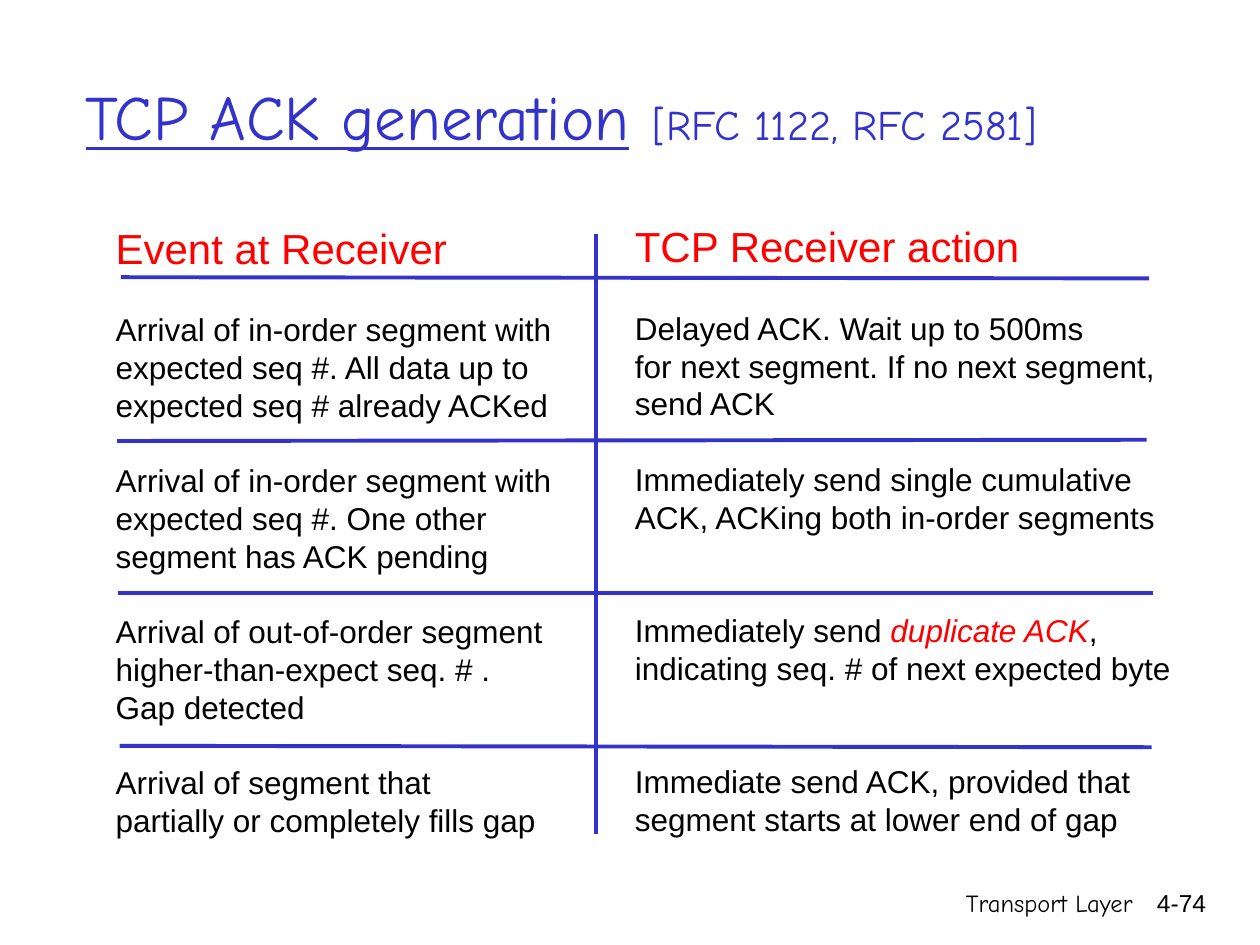
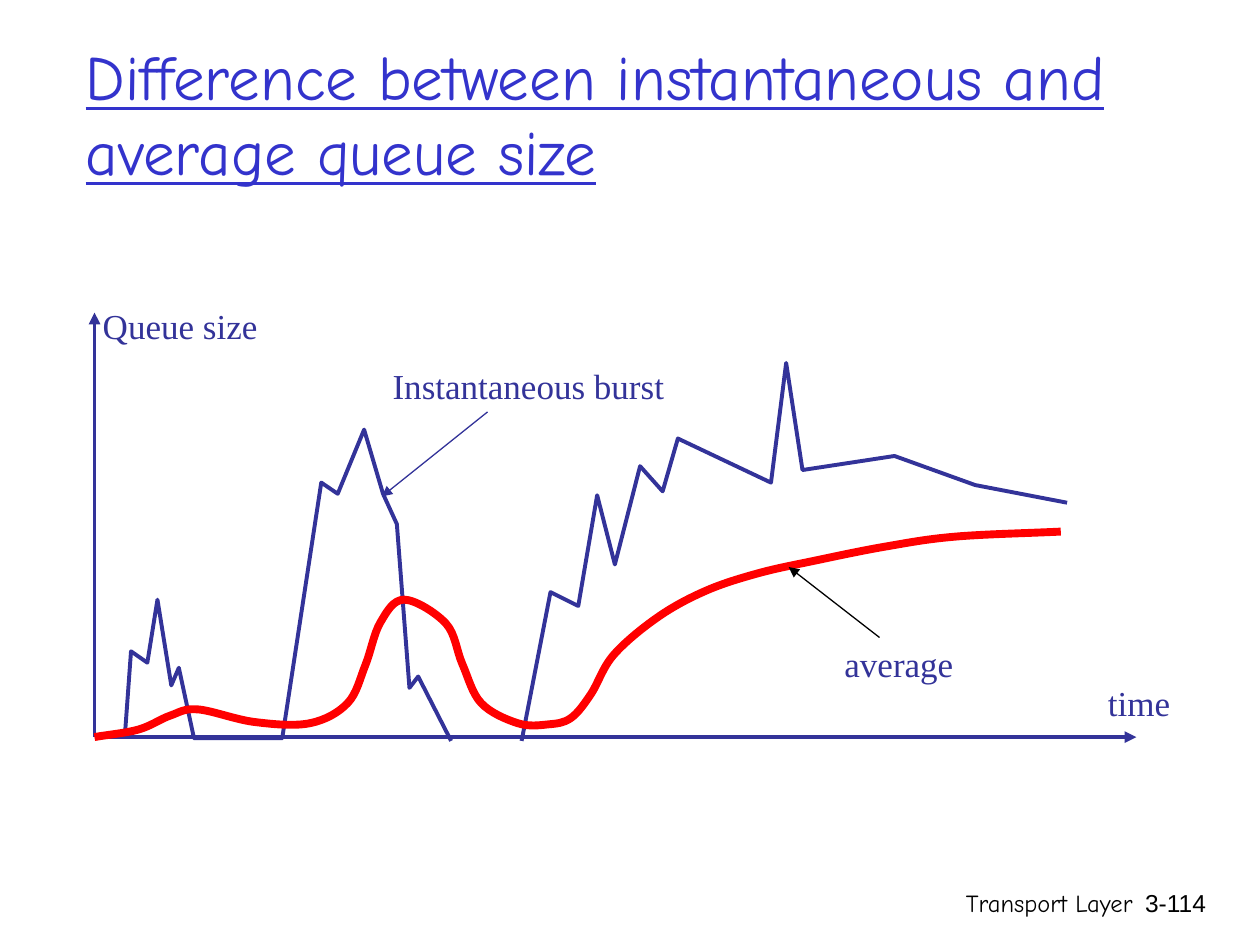
from lxml import etree
from pptx import Presentation
from pptx.dml.color import RGBColor
from pptx.enum import shapes, text
from pptx.oxml.ns import qn
from pptx.util import Pt

# Content
FOOTER = "Transport Layer"
ACK_TITLE = [("TCP ACK generation", 36, True), (" ", 40, False),
             ("[RFC 1122, RFC 2581]", 24, False)]
QUEUE_TITLE = [("Difference between instantaneous and average queue size", 36, True)]
DUPLICATE = "duplicate ACK"

EVENTS = ("Event at Receiver", [
    ["Arrival of in-order segment with", "expected seq #. All data up to",
     "expected seq # already ACKed"],
    ["Arrival of in-order segment with", "expected seq #. One other",
     "segment has ACK pending"],
    ["Arrival of out-of-order segment", "higher-than-expect seq. # .",
     "Gap detected"],
    ["Arrival of segment that", "partially or completely fills gap"],
])
ACTIONS = ("TCP Receiver action", [
    ["Delayed ACK. Wait up to 500ms", "for next segment. If no next segment,",
     "send ACK"],
    ["Immediately send single cumulative", "ACK, ACKing both in-order segments"],
    ["Immediately send duplicate ACK,", "indicating seq. # of next expected byte"],
    ["Immediate send ACK, provided that", "segment starts at lower end of gap"],
])
# Rules of the grid: start, end
RULES = [((69.1, 158.4), (656.6, 159.1)), ((67, 252), (655.2, 251.3)),
         ((67.7, 339.1), (658.8, 339.1)), ((68.4, 426.2), (658.1, 427)),
         ((340.6, 133.9), (340.6, 476.6))]

# Queue plot: label, left, top, width
LABELS = [("Queue size", 51.1, 170.6, 103.7), ("time", 625.7, 385.9, 50.4),
          ("Instantaneous burst", 216.7, 204.5, 170.6),
          ("average", 475.2, 363.6, 77)]
ORIGIN, X_END, Y_END = (54, 421.2), (649.4, 421.2), (54, 178.6)
BURSTS = [
    [(71.3, 421.2), (74.9, 372.2), (84.2, 378.7), (90, 342.7), (97.9, 391.7),
     (102.2, 381.6), (110.9, 421.9), (161.3, 421.9), (183.6, 275.8),
     (193, 282.2), (208.1, 245.5), (218.9, 282.2), (226.8, 299.5),
     (234, 393.1), (239, 386.6), (257.8, 423.4)],
    [(298.1, 423.4), (314.6, 338.4), (330.5, 346.3), (341.3, 283),
     (351.4, 322.6), (365.8, 266.4), (378.7, 280.8), (387.4, 250.6),
     (440.6, 275.8), (449.3, 207.4), (458.6, 268.6), (511.2, 260.6),
     (557.3, 277.2), (609.8, 287.3)],
]
AVERAGE = [
    (54, 421.2), (79.2, 416.9), (97.2, 409), (113, 405.4), (145.4, 412.6),
    (177.1, 413.3), (198.7, 401.8), (208.8, 380.2), (217.4, 355.7),
    (231.1, 342.7), (254.9, 356.4), (264.2, 379.4), (275, 401.8),
    (295.9, 413.3), (313.2, 414), (326.2, 410.4), (337.7, 396.7),
    (350.6, 374.4), (375.8, 352.8), (403.2, 337.7), (433.4, 327.6),
    (465.8, 320.4), (505.4, 312.5), (545.8, 306.7), (606.2, 303.8)]

# Shared style
BLUE, NAVY = RGBColor(0x33, 0x33, 0xCC), RGBColor(0x33, 0x33, 0x99)
RED, BLACK = RGBColor(0xFF, 0, 0), RGBColor(0, 0, 0)
HAND, SANS, SERIF = "Comic Neue", "Arial", "Times New Roman"
ALIGN = text.PP_ALIGN
BODY_PITCH, ROW_LINES = 21.57, 4


def add_run(p, words, size, font, color, underline=False, italic=False):
    r = p.add_run()
    r.text = words
    f = r.font
    f.size, f.name, f.color.rgb = Pt(size), font, color
    f.underline, f.italic = underline, italic


def add_box(slide, left, top, width, height, wrap=True):
    tf = slide.shapes.add_textbox(Pt(left), Pt(top), Pt(width), Pt(height)).text_frame
    tf.word_wrap = wrap
    return tf


def add_label(slide, words, left, top, width, height, size, font, color, align, wrap=True):
    p = add_box(slide, left, top, width, height, wrap).paragraphs[0]
    p.alignment = align
    add_run(p, words, size, font, color)


def add_line(slide, start, end, color, weight, arrow=False):
    c = slide.shapes.add_connector(shapes.MSO_CONNECTOR.STRAIGHT,
                                   *[Pt(v) for v in (*start, *end)])
    c.line.color.rgb, c.line.width = color, Pt(weight)
    if arrow:
        etree.SubElement(c.line._get_or_add_ln(), qn("a:tailEnd"), type="triangle")
    etree.SubElement(c._element.spPr, qn("a:effectLst"))


def add_path(slide, points, color, weight):
    start, *rest = [(Pt(x), Pt(y)) for x, y in points]
    builder = slide.shapes.build_freeform(*start)
    builder.add_line_segments(rest, close=False)
    sp = builder.convert_to_shape()
    sp.shadow.inherit = False
    sp.fill.background()
    sp.line.color.rgb, sp.line.width = color, Pt(weight)
    return sp


def smooth_path(sp):
    """Turn the straight segments into a curve through the same knots."""
    knots = [(int(e.get("x")), int(e.get("y"))) for e in sp._element.iter(qn("a:pt"))]

    def mirror(a, b):
        return 2 * a[0] - b[0], 2 * a[1] - b[1]

    k = [mirror(knots[0], knots[1]), *knots, mirror(knots[-1], knots[-2])]
    for i, seg in enumerate(list(sp._element.iter(qn("a:lnTo"))), 1):
        before, a, b, after = k[i - 1:i + 3]
        controls = ([a[j] + (b[j] - before[j]) / 6 for j in (0, 1)],
                    [b[j] - (after[j] - a[j]) / 6 for j in (0, 1)], b)
        curve = etree.Element(qn("a:cubicBezTo"))
        for x, y in controls:
            etree.SubElement(curve, qn("a:pt"), x=str(round(x)), y=str(round(y)))
        seg.getparent().replace(seg, curve)


def new_slide(prs, title, number):
    slide = prs.slides.add_slide(prs.slide_layouts[6])
    tf = add_box(slide, 41.8, 19.5, 612, 90)
    tf.vertical_anchor = text.MSO_ANCHOR.MIDDLE
    p = tf.paragraphs[0]
    p.line_spacing = Pt(1.2 * max(size for _, size, _ in title))
    for words, size, underline in title:
        add_run(p, words, size, HAND, BLUE, underline)
    add_label(slide, FOOTER, 426.2, 504, 228.2, 36, 14, HAND, BLACK, ALIGN.RIGHT)
    add_label(slide, number, 643, 504, 53.3, 36, 14, SANS, BLACK, ALIGN.RIGHT)
    return slide


def add_column(slide, column, left, top, width):
    heading, rows = column
    tf = add_box(slide, left, top, width, 393.8, wrap=False)
    p = tf.paragraphs[0]
    p.line_spacing = Pt(28.8)
    add_run(p, heading, 24, SANS, RED)
    gap = 1
    for lines in rows:
        for i, line in enumerate(lines):
            p = tf.add_paragraph()
            p.line_spacing = Pt(BODY_PITCH)
            p.space_before = Pt(0 if i else gap * BODY_PITCH)
            head, mark, tail = line.partition(DUPLICATE)
            for words in filter(None, (head, mark, tail)):
                marked = words == DUPLICATE
                add_run(p, words, 18, SANS, RED if marked else BLACK, italic=marked)
        gap = ROW_LINES - len(lines)


def main():
    prs = Presentation()
    prs.slide_width, prs.slide_height = Pt(720), Pt(540)

    # ACK rules
    slide = new_slide(prs, ACK_TITLE, "4-74")
    add_column(slide, EVENTS, 59, 123.4, 263.5)
    add_column(slide, ACTIONS, 355.7, 122.7, 320.4)
    for start, end in RULES:
        add_line(slide, start, end, BLUE, 2.25)

    # Queue size over time
    slide = new_slide(prs, QUEUE_TITLE, "3-114")
    for end in (X_END, Y_END):
        add_line(slide, ORIGIN, end, NAVY, 2.25, arrow=True)
    for burst in BURSTS:
        add_path(slide, burst, NAVY, 2.25)
    smooth_path(add_path(slide, AVERAGE, RED, 4.5))
    for words, left, top, width in LABELS:
        add_label(slide, words, left, top, width, 31.7, 20, SERIF, NAVY,
                  ALIGN.CENTER, wrap=False)
    add_line(slide, (278.6, 235.4), (218.2, 283.7), NAVY, 0.75, arrow=True)
    add_line(slide, (502.6, 364.3), (450.7, 324), BLACK, 0.75, arrow=True)

    prs.save("out.pptx")


if __name__ == "__main__":
    main()
